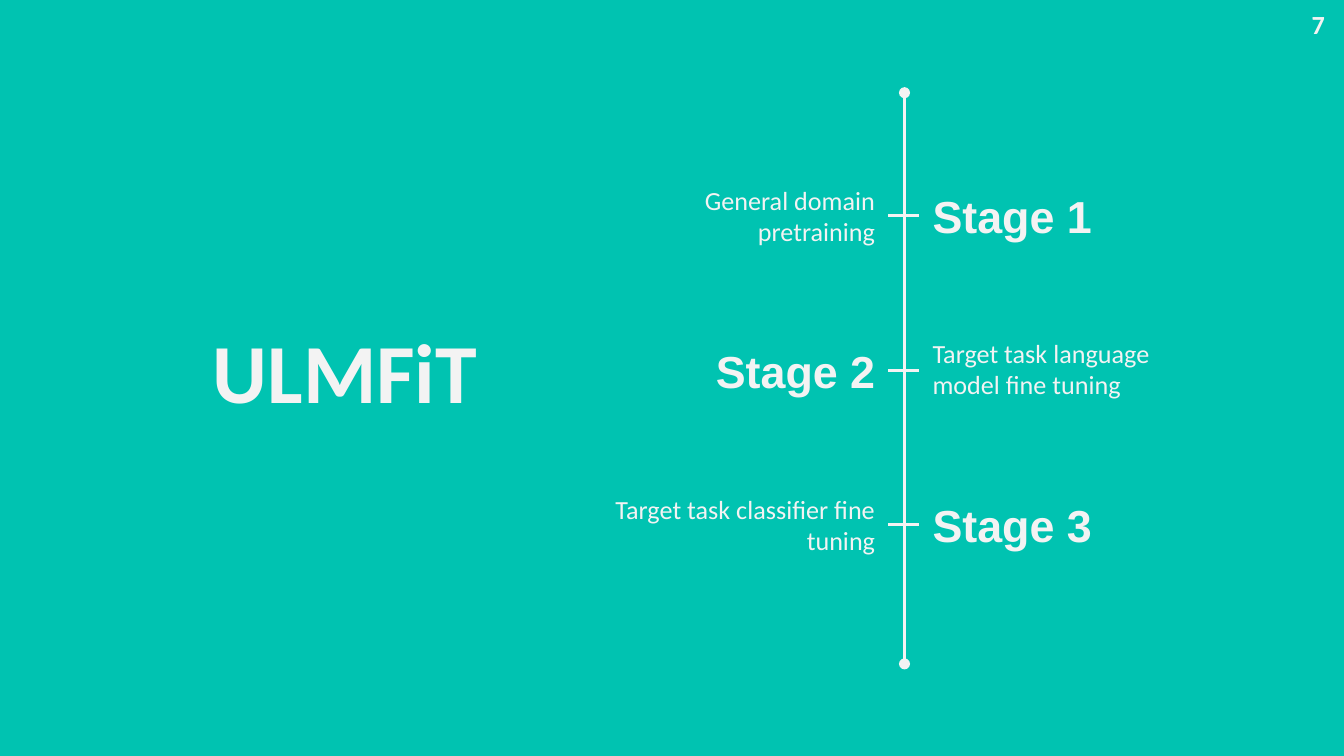
from lxml.etree import SubElement
from pptx import Presentation
from pptx.dml.color import RGBColor
from pptx.enum.shapes import MSO_CONNECTOR
from pptx.enum.text import MSO_ANCHOR, PP_ALIGN
from pptx.oxml.ns import qn
from pptx.util import Inches, Pt


def color(hex_code):
    return RGBColor.from_string(hex_code)


class TimelineSlide:
    BACKGROUND = "00C3B1"
    INK = "F3F3F3"
    BODY_FONT = "Calibri"
    STAGE_FONT = "Arial"

    def __init__(self, prs):
        self.slide = prs.slides.add_slide(prs.slide_layouts[6])
        fill = self.slide.background.fill
        fill.solid()
        fill.fore_color.rgb = color(self.BACKGROUND)

    def text(self, words, left, top, width, height, size, bold=False,
             font=BODY_FONT, align=PP_ALIGN.LEFT, anchor=MSO_ANCHOR.TOP,
             inset=0.1):
        box = self.slide.shapes.add_textbox(
            Inches(left), Inches(top), Inches(width), Inches(height))
        frame = box.text_frame
        frame.word_wrap = True
        frame.vertical_anchor = anchor
        frame.margin_left = frame.margin_right = Inches(0.1)
        frame.margin_top = frame.margin_bottom = Inches(inset)
        paragraph = frame.paragraphs[0]
        paragraph.alignment = align
        run = paragraph.add_run()
        run.text = words
        run.font.name = font
        run.font.size = Pt(size)
        run.font.bold = bold
        run.font.color.rgb = color(self.INK)
        return box

    def line(self, x1, y1, x2, y2, round_ends=False):
        connector = self.slide.shapes.add_connector(
            MSO_CONNECTOR.STRAIGHT,
            Inches(x1), Inches(y1), Inches(x2), Inches(y2))
        connector.line.color.rgb = color(self.INK)
        connector.line.width = Pt(1.5)
        properties = connector.line._get_or_add_ln()
        if round_ends:
            for end in ("a:headEnd", "a:tailEnd"):
                SubElement(properties, qn(end), type="oval")
        SubElement(properties.getparent(), qn("a:effectLst"))
        return connector


def main():
    # 16:9 page
    prs = Presentation()
    prs.slide_width = Inches(10)
    prs.slide_height = Inches(10) * 9 // 16
    page = TimelineSlide(prs)

    # Title
    page.text("ULMFiT", 0.63, 2.28, 3.02, 1.06, 45, bold=True,
              align=PP_ALIGN.RIGHT)

    # Timeline axis
    page.line(6.73, 0.69, 6.73, 4.94, round_ends=True)

    # Stages: name and description swap sides from row to row
    descriptions = ["General domain pretraining",
                    "Target task language model fine tuning",
                    "Target task classifier fine tuning"]
    left_x, right_x, width, height = 4.36, 6.84, 2.25, 0.69
    first_top, row_step = 1.26, 1.15
    for row, description in enumerate(descriptions):
        top = first_top + row * row_step
        name_on_right = row % 2 == 0
        name_x, description_x = (
            (right_x, left_x) if name_on_right else (left_x, right_x))
        name_align, description_align = (
            (PP_ALIGN.LEFT, PP_ALIGN.RIGHT) if name_on_right
            else (PP_ALIGN.RIGHT, PP_ALIGN.LEFT))
        stage_name = page.text(
            f"Stage {row + 1}", name_x, top, width, height, 24, bold=True,
            font=page.STAGE_FONT, align=name_align,
            anchor=MSO_ANCHOR.MIDDLE)
        stage_description = page.text(
            description, description_x, top, width, height, 14,
            align=description_align,
            anchor=MSO_ANCHOR.MIDDLE if name_on_right else MSO_ANCHOR.TOP)

        # Tick across the axis, joining both texts
        middle = top + height / 2
        tick = page.line(left_x + width, middle, right_x, middle)
        left_text, right_text = (
            (stage_description, stage_name) if name_on_right
            else (stage_name, stage_description))
        tick.begin_connect(left_text, 3)
        tick.end_connect(right_text, 1)

    # Page number
    page.text("7", 9.66, 0.01, 0.28, 0.34, 14, bold=True, inset=0.05)

    prs.save("out.pptx")


if __name__ == "__main__":
    main()
